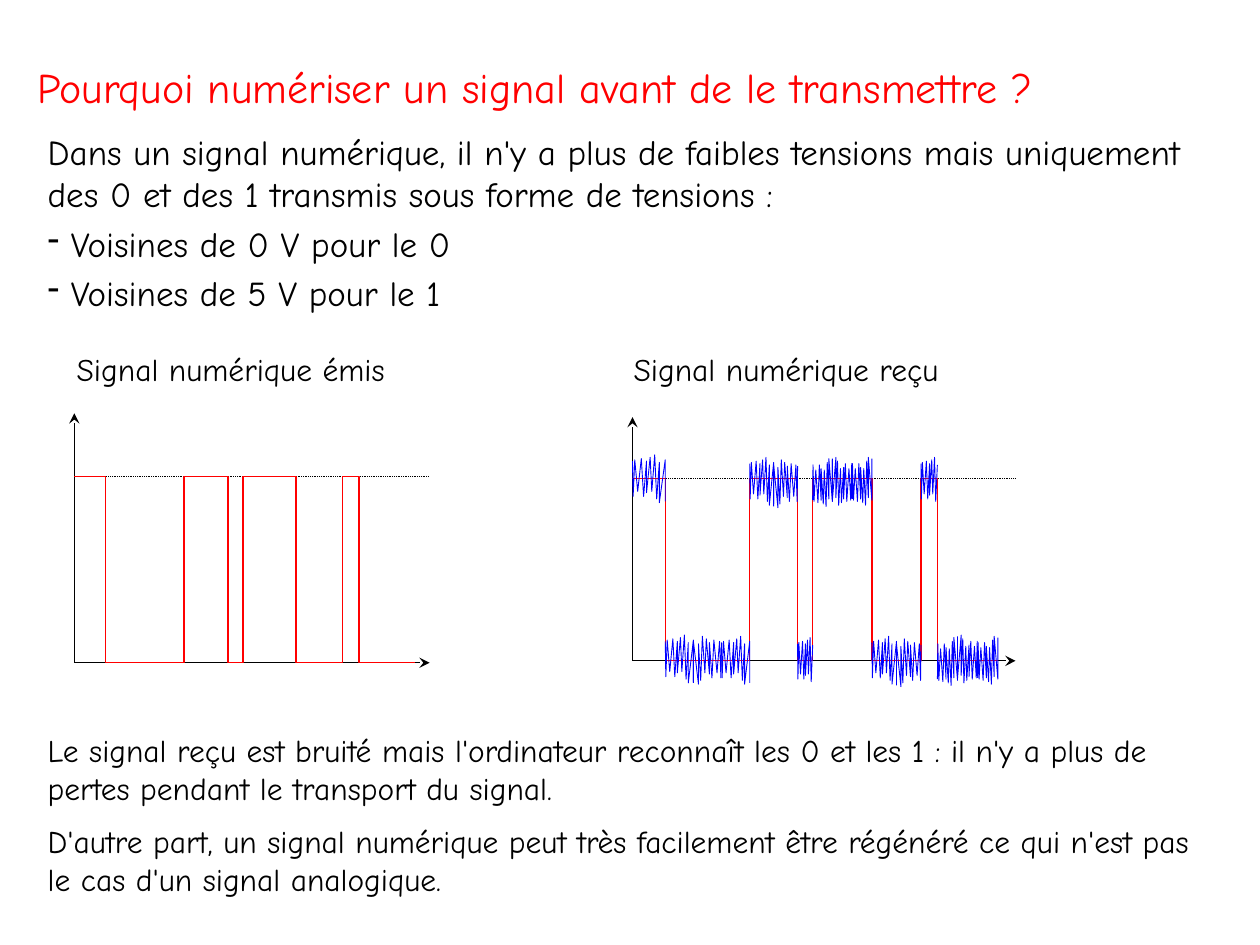
import lxml.etree
import pptx
import pptx.dml.color
import pptx.enum.dml
import pptx.enum.shapes
import pptx.enum.text
import pptx.oxml.ns
import pptx.util

COLUMNS, ROWS = 100, 75
CELL = pptx.util.Inches(0.1)
FONT = "Comic Neue"
COLORS = {"title": "FF0000", "text": "000000", "axis": "000000", "signal": "FF0000", "noise": "0000FF"}

NOISE_X = (0, 0.02, 0.07, 0.16, 0.27, 0.34, 0.43, 0.43, 0.54, 0.59, 0.68, 0.74, 0.82, 0.82, 1, 1)
NOISE_Y = (0.5, 3.3, 0.4, 2.9, 0.3, 3.3, 0.5, 3, 0.2, 2.9, 0, 3.5, 0.6, 3.8, 0.4, 3.7)
NOISE_HEIGHT = 3.8
CUT_POINTS = 13

SENT_EDGES = (5.9, 8.4, 14.6, 18.1, 19.3, 23.5, 27.2, 28.5, 32.9)
RECEIVED_EDGES = (50.2, 52.8, 59.5, 63.3, 64.5, 69.2, 73.1, 74.4, 79.2)
BURST_TOPS = ((36.1,), (50.4, 50.5, 50.5), (36.3, 36.5), (50.6,),
              (36.4, 36.3, 36.3), (50.5, 50.7), (36.3,), (50.6, 50.4, 50.5))
CUT_BITS = (3, 6)
FLIPPED_BITS = (4, 7)


def grid(cells):
    """Turn grid cells into a length."""
    return pptx.util.Emu(round(cells * CELL))


def rgb(name):
    """Look up a named colour."""
    return pptx.dml.color.RGBColor.from_string(COLORS[name])


def add_tag(parent, tag, **attributes):
    """Append a DrawingML element to a parent element."""
    return lxml.etree.SubElement(parent, pptx.oxml.ns.qn(tag), attributes)


def add_text(shapes, left, top, width, height, paragraphs, size=18, color="text", before=9, after=0, bullets=()):
    """Add a wrapped text box with one format for all its paragraphs."""
    box = shapes.add_textbox(*map(grid, (left, top, width, height)))
    frame = box.text_frame
    frame.word_wrap = True
    frame.auto_size = pptx.enum.text.MSO_AUTO_SIZE.SHAPE_TO_FIT_TEXT
    for index, words in enumerate(paragraphs):
        para = frame.add_paragraph() if index else frame.paragraphs[0]
        para.space_before = pptx.util.Pt(before)
        para.space_after = pptx.util.Pt(after)
        if index in bullets:
            add_tag(para._p.get_or_add_pPr(), "a:buChar", char="-")
        span = para.add_run()
        span.text = words
        span.font.name = FONT
        span.font.size = pptx.util.Pt(size)
        span.font.color.rgb = rgb(color)


def add_line(shapes, start, end, dotted=False):
    """Add an axis with an arrowhead, or a dotted level line."""
    line = shapes.add_connector(pptx.enum.shapes.MSO_CONNECTOR.STRAIGHT, *map(grid, start + end))
    line.line.color.rgb = rgb("axis")
    line.line.width = pptx.util.Pt(0.5)
    if dotted:
        line.line.dash_style = pptx.enum.dml.MSO_LINE.ROUND_DOT
    else:
        add_tag(line.line._get_or_add_ln(), "a:tailEnd", type="stealth")
    add_tag(line._element.spPr, "a:effectLst")


def add_trace(shapes, points, color, weight):
    """Add an open outline through grid points."""
    start, *others = [(grid(x), grid(y)) for x, y in points]
    builder = shapes.build_freeform(*start)
    builder.add_line_segments(others, close=False)
    trace = builder.convert_to_shape()
    trace.fill.background()
    trace.line.color.rgb = rgb(color)
    trace.line.width = pptx.util.Pt(weight)
    trace.shadow.inherit = False


def add_signal(page, caption, caption_place, edges, high, low, axis_top, axis_end):
    """Add a captioned group with axes and a square wave, and return its shapes."""
    shapes = page.shapes.add_group_shape().shapes
    left = edges[0]
    add_text(shapes, *caption_place, [caption])
    add_line(shapes, (left, low), (left, axis_top))
    add_line(shapes, (left, low), (axis_end, low))
    add_line(shapes, (left, high), (axis_end, high), dotted=True)
    points = []
    for bit, ends in enumerate(zip(edges, edges[1:])):
        points += [(x, low if bit % 2 else high) for x in ends]
    add_trace(shapes, points, "signal", 0.75)
    return shapes


def add_noise(shapes, edges):
    """Add noise bursts along every bit, each second burst mirrored."""
    for bit, tops in enumerate(BURST_TOPS):
        count = CUT_POINTS if bit in CUT_BITS else len(NOISE_X)
        step = (edges[bit + 1] - edges[bit]) / len(tops)
        for piece, top in enumerate(tops):
            points = []
            for x, y in zip(NOISE_X[:count], NOISE_Y):
                share = x / NOISE_X[count - 1]
                across = piece + (1 - share if piece % 2 else share)
                down = NOISE_HEIGHT - y if bit in FLIPPED_BITS else y
                points.append((edges[bit] + across * step, top + down))
            add_trace(shapes, points, "noise", 0.5)


def main():
    """Build the slide and save it."""
    deck = pptx.Presentation()
    deck.slide_width, deck.slide_height = grid(COLUMNS), grid(ROWS)
    page = deck.slides.add_slide(deck.slide_layouts[6])
    add_text(page.shapes, 2, 4.4, 94.5, 5, ["Pourquoi numériser un signal avant de le transmettre ?"],
             size=24, color="title", before=12, after=8)
    add_text(page.shapes, 2.8, 57.5, 94.8, 14.5, [
        "Le signal reçu est bruité mais l'ordinateur reconnaît les 0 et les 1 : "
        "il n'y a plus de pertes pendant le transport du signal.",
        "D'autre part, un signal numérique peut très facilement être régénéré "
        "ce qui n'est pas le cas d'un signal analogique."])
    add_signal(page, "Signal numérique émis", (5.1, 27.3, 34.2, 5.4), SENT_EDGES, 37.8, 52.6, 32.8, 34.1)
    received = add_signal(page, "Signal numérique reçu", (49.3, 27.3, 36.9, 5.3),
                          RECEIVED_EDGES, 38, 52.45, 33.1, 80.6)
    add_noise(received, RECEIVED_EDGES)
    add_text(page.shapes, 2.8, 9.9, 93.5, 15.8, [
        "Dans un signal numérique, il n'y a plus de faibles tensions mais uniquement "
        "des 0 et des 1 transmis sous forme de tensions :",
        " Voisines de 0 V pour le 0",
        " Voisines de 5 V pour le 1"], size=20, before=4, bullets=(1, 2))
    deck.save("out.pptx")


if __name__ == "__main__":
    main()
